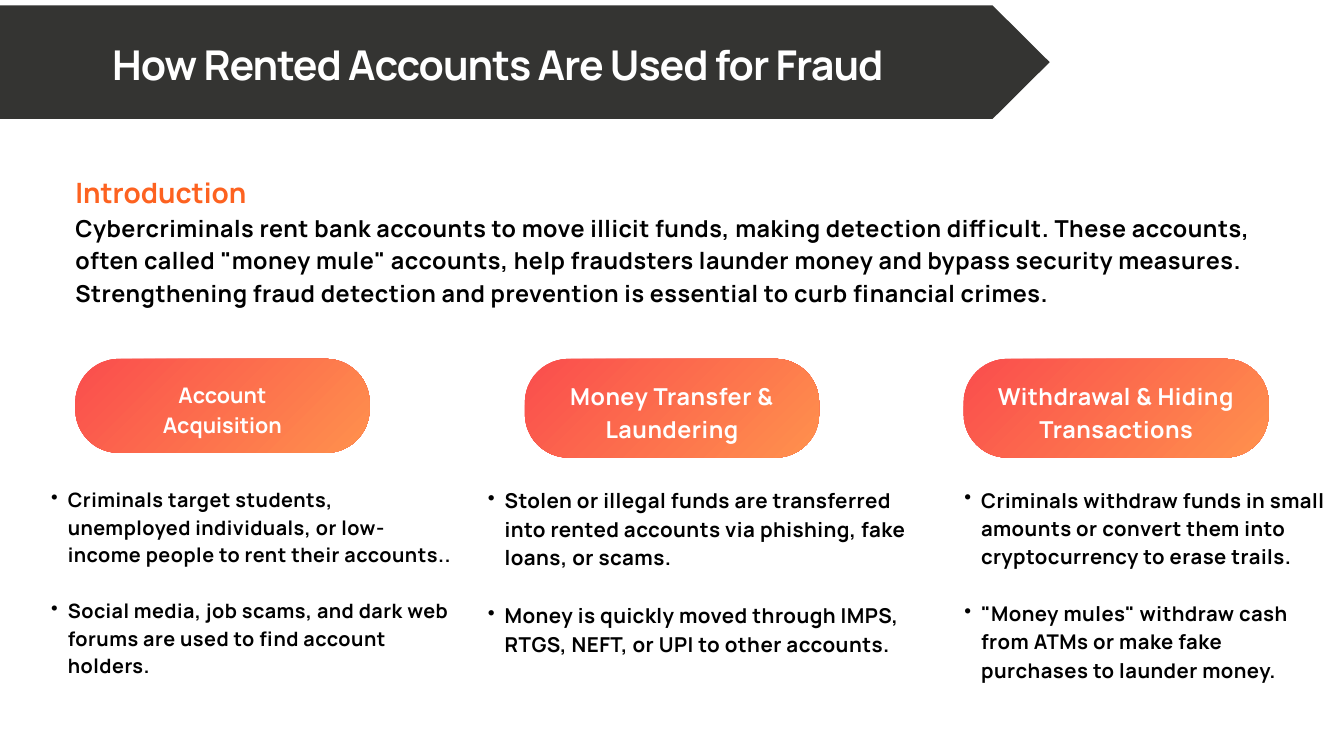
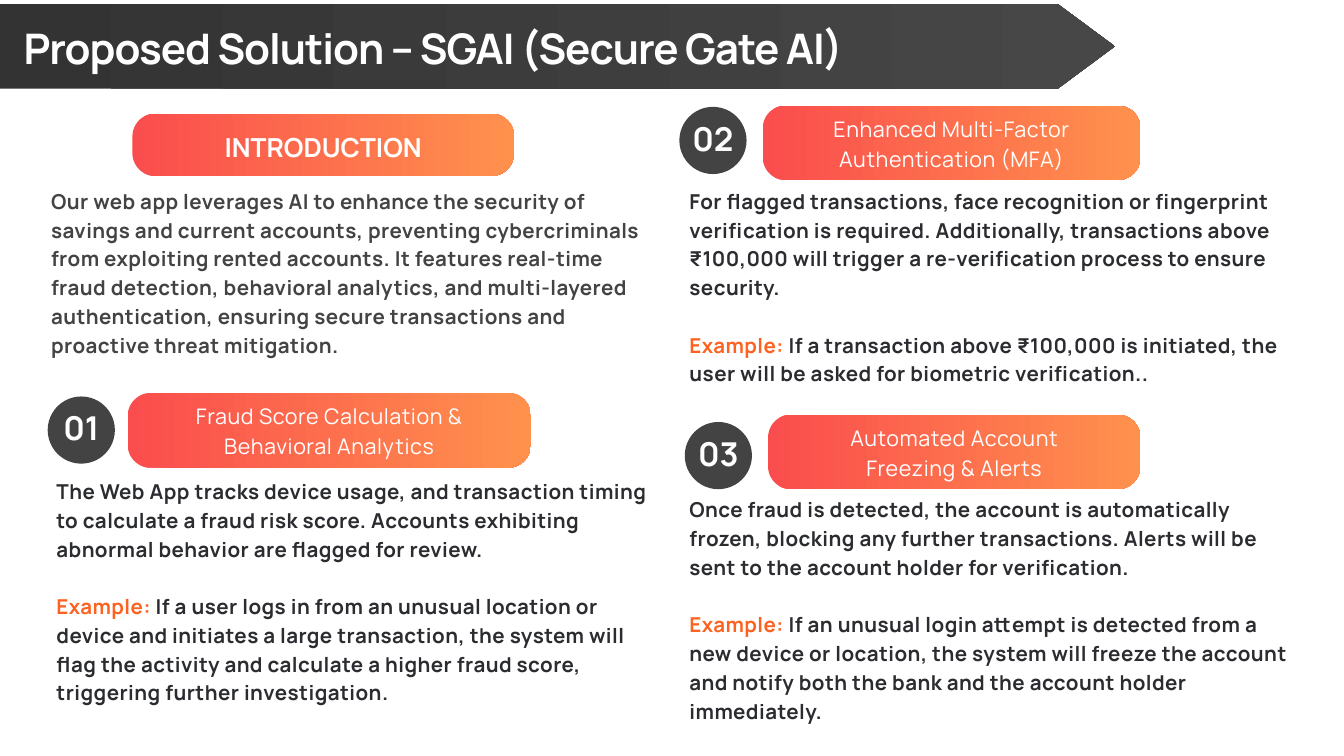
from lxml import etree
from pptx import Presentation
from pptx.dml.color import RGBColor
from pptx.enum.shapes import MSO_SHAPE
from pptx.enum.text import MSO_ANCHOR, PP_ALIGN
from pptx.oxml.ns import qn
from pptx.util import Inches, Pt

ROUNDED, ARROW, OVAL = MSO_SHAPE.ROUNDED_RECTANGLE, MSO_SHAPE.PENTAGON, MSO_SHAPE.OVAL
MIDDLE, LEFT, CENTER = MSO_ANCHOR.MIDDLE, PP_ALIGN.LEFT, PP_ALIGN.CENTER

FONT = "Manrope"
WHITE = RGBColor(0xFF, 0xFF, 0xFF)
BLACK = RGBColor(0x00, 0x00, 0x00)
INK = RGBColor(0x2B, 0x2C, 0x30)
GRAY = RGBColor(0x43, 0x43, 0x43)
CHARCOAL = RGBColor(0x34, 0x34, 0x32)
CHARCOAL_START = RGBColor(0x34, 0x33, 0x33)
CHARCOAL_END = RGBColor(0x47, 0x47, 0x47)
ORANGE = RGBColor(0xFD, 0x62, 0x20)
PILL_COLORS = (RGBColor(0xFA, 0x4D, 0x4D), RGBColor(0xFF, 0x91, 0x4D))

# Lengths are in units of a 20 by 11.25 grid laid over the slide
COLUMNS, ROWS = 20, 11.25
ARROW_TIP = 0.85
LINE_RATIO = 1.4


def add_box(slide, kind, left, top, width, height, colors=(), angle=0, corner=None, inset=0):
    """Add a shape, or a text box when kind is None, and return its text frame."""
    area = [Inches(length) for length in (left, top, width, height)]
    if kind is None:
        shape = slide.shapes.add_textbox(*area)
    else:
        shape = slide.shapes.add_shape(kind, *area)
        shape.shadow.inherit = False
        shape.line.fill.background()
        if len(colors) == 1:
            shape.fill.solid()
            shape.fill.fore_color.rgb = colors[0]
        else:
            shape.fill.gradient()
            shape.fill.gradient_angle = angle
            for stop, color in zip(shape.fill.gradient_stops, colors):
                stop.color.rgb = color
        if corner is not None:
            shape.adjustments[0] = corner / height
    frame = shape.text_frame
    frame.word_wrap = True
    frame.margin_left = Inches(inset)
    frame.margin_right = Inches(0 if kind == ARROW else inset)
    frame.margin_top = frame.margin_bottom = 0
    if kind is not None:
        frame.vertical_anchor = MIDDLE
    return frame


def write(frame, runs, size, color, bold=True, tracking=0.0, align=LEFT,
          ratio=LINE_RATIO, spaced=False, hanging=0.0):
    """Write one paragraph; runs is a text, or a list of (text, color) pairs."""
    paragraph = frame.paragraphs[0]
    if paragraph.runs:
        paragraph = frame.add_paragraph()
    paragraph.alignment = align
    paragraph.line_spacing = Pt(size * ratio)
    if spaced:
        paragraph.space_before = Pt(size * ratio)
    font = paragraph.font
    font.name, font.size, font.bold = FONT, Pt(size), bold
    font.color.rgb = color
    properties = paragraph._p.get_or_add_pPr()
    default_run = properties.find(qn("a:defRPr"))
    default_run.set("spc", str(round(tracking * 100)))
    if hanging:
        properties.set("marL", str(Inches(2 * hanging)))
        properties.set("indent", str(-Inches(hanging)))
        bullet = etree.Element(qn("a:buChar"), char="•")
        default_run.addprevious(bullet)
    for text, run_color in [(runs, color)] if isinstance(runs, str) else runs:
        run = paragraph.add_run()
        run.text = text
        if run_color != color:
            run.font.color.rgb = run_color


presentation = Presentation()
presentation.slide_width = Inches(COLUMNS)
presentation.slide_height = Inches(ROWS)
blank_layout = presentation.slide_layouts[6]

# Shared header: arrow band with title
headers = [
    # title, size, inset, band top, width, height, band colors
    ("How Rented Accounts Are Used for Fraud", 44, 1.67, 0.08, 15.62, 1.69, (CHARCOAL,)),
    ("Proposed Solution – SGAI (Secure Gate AI)", 45.1, 0.35, 0.06, 16.59, 1.26,
     (CHARCOAL_START, CHARCOAL_END)),
]
slides = []
for title, size, inset, top, width, height, colors in headers:
    slide = presentation.slides.add_slide(blank_layout)
    slides.append(slide)
    band = add_box(slide, ARROW, 0, top, width, height, colors, corner=ARROW_TIP, inset=inset)
    band.margin_bottom = Inches(0.08)
    write(band, title, size, WHITE, tracking=-1.1)

fraud_slide, solution_slide = slides

# Slide 1: introduction
introduction = add_box(fraud_slide, None, 1.12, 2.53, 17.75, 2.48)
write(introduction, "Introduction", 30, ORANGE)
write(introduction,
      "Cybercriminals rent bank accounts to move illicit funds, making detection difficult. "
      "These accounts, often called \"money mule\" accounts, help fraudsters launder money and "
      "bypass security measures. Strengthening fraud detection and prevention is essential to "
      "curb financial crimes.", 25, BLACK, tracking=0.6)

# Slide 1: three stages, each a pill above a bullet list
stages = [
    # heading, size, tracking, pill left, width, height, inset, list left, width, size, bullets
    ("Account Acquisition", 23, 0, 1.12, 4.38, 1.4, 0.45, 0.51, 6.28, 21.2,
     ["Criminals target students, unemployed individuals, or low-income people to rent "
      "their accounts..",
      "Social media, job scams, and dark web forums are used to find account holders."]),
    ("Money Transfer & Laundering", 25, 0.6, 7.81, 4.38, 1.47, 0.45, 7.01, 6.87, 22,
     ["Stolen or illegal funds are transferred into rented accounts via phishing, fake "
      "loans, or scams.",
      "Money is quickly moved through IMPS, RTGS, NEFT, or UPI to other accounts."]),
    ("Withdrawal & Hiding Transactions", 25, 0.6, 14.34, 4.54, 1.47, 0.21, 14.1, 5.73, 21.7,
     ["Criminals withdraw funds in small amounts or convert them into cryptocurrency to "
      "erase trails.",
      "\"Money mules\" withdraw cash from ATMs or make fake purchases to launder money."]),
]
for (heading, size, tracking, left, width, height, inset,
     list_left, list_width, list_size, bullets) in stages:
    pill = add_box(fraud_slide, ROUNDED, left, 5.34, width, height, PILL_COLORS,
                   angle=315, corner=0.65, inset=inset)
    pill.margin_top = Inches(0.06)
    write(pill, heading, size, WHITE, tracking=tracking, align=CENTER)
    bullet_list = add_box(fraud_slide, None, list_left, 7.2, list_width, 3.7)
    for index, text in enumerate(bullets):
        write(bullet_list, text, list_size, BLACK, tracking=0.5,
              spaced=index > 0, hanging=0.25)

# Slide 2: introduction
pill = add_box(solution_slide, ROUNDED, 1.97, 1.69, 5.68, 0.93, PILL_COLORS, corner=0.34)
write(pill, "INTRODUCTION", 28.1, WHITE, align=CENTER)
introduction = add_box(solution_slide, None, 0.76, 2.75, 9.02, 2.56)
write(introduction,
      "Our web app leverages AI to enhance the security of savings and current accounts, "
      "preventing cybercriminals from exploiting rented accounts. It features real-time fraud "
      "detection, behavioral analytics, and multi-layered authentication, ensuring secure "
      "transactions and proactive threat mitigation.", 22, GRAY, tracking=0.5)

# Slide 2: numbered features, each a disc, a pill, a text and an example
features = [
    # heading lines, disc left, top, pill left, top, width, text left, top, width, text, example
    (("Fraud Score Calculation &", "Behavioral Analytics"),
     0.71, 5.9, 1.9, 5.85, 6, 0.84, 7.07, 8.88,
     "The Web App tracks device usage, and transaction timing to calculate a fraud risk "
     "score. Accounts exhibiting abnormal behavior are flagged for review.",
     " If a user logs in from an unusual location or device and initiates a large "
     "transaction, the system will flag the activity and calculate a higher fraud score, "
     "triggering further investigation."),
    (("Enhanced Multi-Factor", "Authentication (MFA)"),
     10.11, 1.59, 11.35, 1.57, 5.62, 10.26, 2.75, 8.96,
     "For flagged transactions, face recognition or fingerprint verification is required. "
     "Additionally, transactions above ₹100,000 will trigger a re-verification process to "
     "ensure security.",
     " If a transaction above ₹100,000 is initiated, the user will be asked for biometric "
     "verification.."),
    (("Automated Account", "Freezing & Alerts"),
     10.19, 6.28, 11.43, 6.17, 5.54, 10.26, 7.34, 8.96,
     "Once fraud is detected, the account is automatically frozen, blocking any further "
     "transactions. Alerts will be sent to the account holder for verification.",
     " If an unusual login attempt is detected from a new device or location, the system "
     "will freeze the account and notify both the bank and the account holder immediately."),
]
for number, (heading_lines, disc_left, disc_top, pill_left, pill_top, pill_width,
             text_left, text_top, text_width, text, example) in enumerate(features, 1):
    disc = add_box(solution_slide, OVAL, disc_left, disc_top, 1, 1, (GRAY,))
    write(disc, f"{number:02}", 35.2, WHITE, align=CENTER, ratio=1.06)
    pill = add_box(solution_slide, ROUNDED, pill_left, pill_top, pill_width, 1.11,
                   PILL_COLORS, corner=0.34)
    pill.margin_bottom = Inches(0.04)
    for line in heading_lines:
        write(pill, line, 23, WHITE, bold=False, tracking=0.6, align=CENTER)
    body = add_box(solution_slide, None, text_left, text_top, text_width, 3.85)
    write(body, text, 22, INK, tracking=0.5)
    write(body, [("Example:", ORANGE), (example, INK)], 22, INK, tracking=0.5, spaced=True)

presentation.save("out.pptx")
